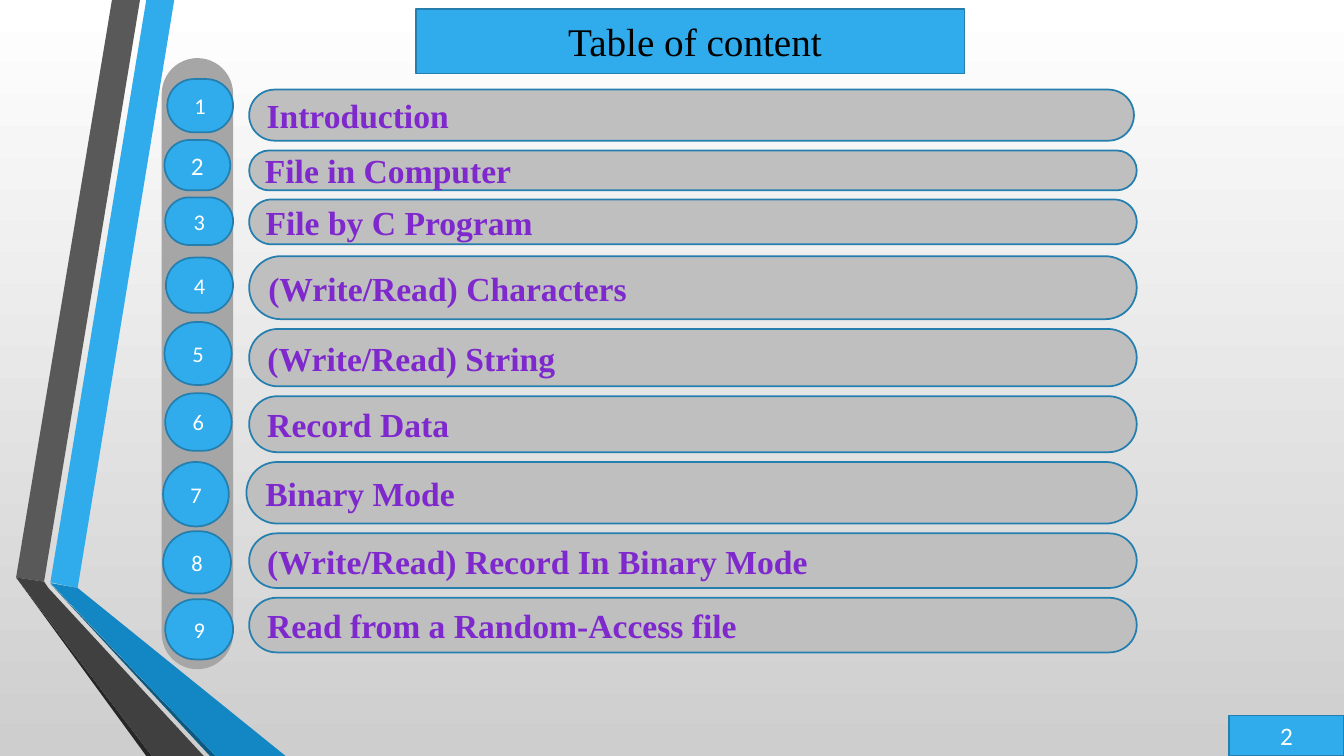
from pptx import Presentation
from pptx.util import Pt
from pptx.dml.color import RGBColor
from pptx.enum.shapes import MSO_SHAPE as SHAPE
from pptx.enum.text import PP_ALIGN as ALIGN, MSO_ANCHOR as ANCHOR, MSO_AUTO_SIZE as AUTO
from pptx.oxml import parse_xml
from pptx.oxml.ns import nsdecls

BLUE, EDGE, WHITE = "30ACEC", "247FAF", "FFFFFF"


def rgb(code):
    return RGBColor.from_string(code)


def style(sp, fill, text, size, color, font="Calibri", align=ALIGN.CENTER, bold=False):
    sp.fill.solid()
    sp.fill.fore_color.rgb = rgb(fill)
    sp.line.color.rgb = rgb(EDGE)
    sp.line.width = Pt(1.25)
    tf = sp.text_frame
    tf.word_wrap = True
    tf.auto_size = AUTO.NONE
    tf.vertical_anchor = ANCHOR.MIDDLE
    p = tf.paragraphs[0]
    p.alignment = align
    r = p.add_run()
    r.text = text
    r.font.name, r.font.size, r.font.bold = font, Pt(size), bold
    r.font.color.rgb = rgb(color)


prs = Presentation()
prs.slide_width, prs.slide_height = Pt(960), Pt(540)
s = prs.slides.add_slide(prs.slide_layouts[5])

# Background: white at the top to grey at the bottom
bg = s.background.fill
bg.gradient()
bg.gradient_angle = 270
for stop, color in zip(bg.gradient_stops, (WHITE, "CECECE")):
    stop.color.rgb = rgb(color)

# Folded ribbons on the left
ribbons = [
    (BLUE, [(36, 416), (55.5, 420), (124.5, 0), (104.5, 0)]),
    ("595959", [(100, 0), (80, 0), (11.5, 412.5), (31.5, 415.5)]),
    ("262626", [(11.5, 412.5), (104.5, 540), (108.5, 540)]),
    ("0C5A82", [(36, 417), (150, 540), (154, 540)]),
    ("1287C3", [(36, 416.5), (154, 540), (204, 540), (55.5, 420)]),
    ("404040", [(145.5, 540), (34.5, 420), (31.5, 415.5), (11.5, 412.5), (108.5, 540)]),
]
for color, points in ribbons:
    start, *rest = [(Pt(x), Pt(y)) for x, y in points]
    builder = s.shapes.build_freeform(*start, scale=1.0)
    builder.add_line_segments(rest, close=True)
    sp = builder.convert_to_shape()
    sp.shadow.inherit = False
    sp.fill.solid()
    sp.fill.fore_color.rgb = rgb(color)
    sp.line.fill.background()

# Title
title = s.shapes.title
title.left, title.top, title.width, title.height = Pt(297), Pt(6.5), Pt(392), Pt(46)
title._element.spPr.append(parse_xml(
    f'<a:prstGeom {nsdecls("a")} prst="roundRect"><a:avLst/></a:prstGeom>'))
style(title, BLUE, "Table of content", 28, "000000", "Times New Roman")
title.text_frame.margin_left = Pt(14)

# Page number
page = s.shapes.add_shape(SHAPE.RECTANGLE, Pt(878), Pt(511), Pt(82), Pt(29))
page.shadow.inherit = False
style(page, BLUE, "2", 18, WHITE)

# Grey rail behind the numbers
rail = s.shapes.add_shape(SHAPE.ROUNDED_RECTANGLE, Pt(115.5), Pt(41.5), Pt(51), Pt(436.5))
rail.adjustments[0] = 0.5
rail.shadow.inherit = False
rail.fill.solid()
rail.fill.fore_color.rgb = rgb("A6A6A6")
rail.line.fill.background()

# Entries: text, bar (left, top, width, height), badge (left, top, width, height)
entries = [
    ("Introduction", (178, 64, 632, 36.5), (119.5, 56.5, 47, 38)),
    ("File in Computer", (178, 107.5, 634, 28.5), (117.5, 100, 47, 36)),
    ("File by C Program", (178, 142.5, 634, 32), (118, 141, 48.5, 34)),
    ("(Write/Read) Characters", (178, 183, 634, 45), (118.5, 184, 48, 39.5)),
    ("(Write/Read) String", (178, 235, 634, 41), (117.5, 230, 48, 45)),
    ("Record Data", (178, 283, 634, 40), (118, 281, 47.5, 41)),
    ("Binary Mode", (176, 330, 636, 44), (116.5, 330, 47, 46)),
    ("(Write/Read) Record In Binary Mode", (178, 381, 634, 39), (116.5, 379.5, 48.5, 44.5)),
    ("Read from a Random-Access file", (178, 427, 634, 39), (118, 428, 48.5, 43)),
]
for number, (text, bar_box, badge_box) in enumerate(entries, 1):
    bar, badge = [s.shapes.add_shape(SHAPE.ROUNDED_RECTANGLE, *map(Pt, box))
                  for box in (bar_box, badge_box)]
    for sp in (bar, badge):
        sp.adjustments[0] = 0.5
        sp.shadow.inherit = False
    style(bar, "BFBFBF", text, 24, "7E28CD", "Times New Roman", ALIGN.LEFT, True)
    style(badge, BLUE, str(number), 18 if number == 2 else 16, WHITE)

prs.save("out.pptx")
